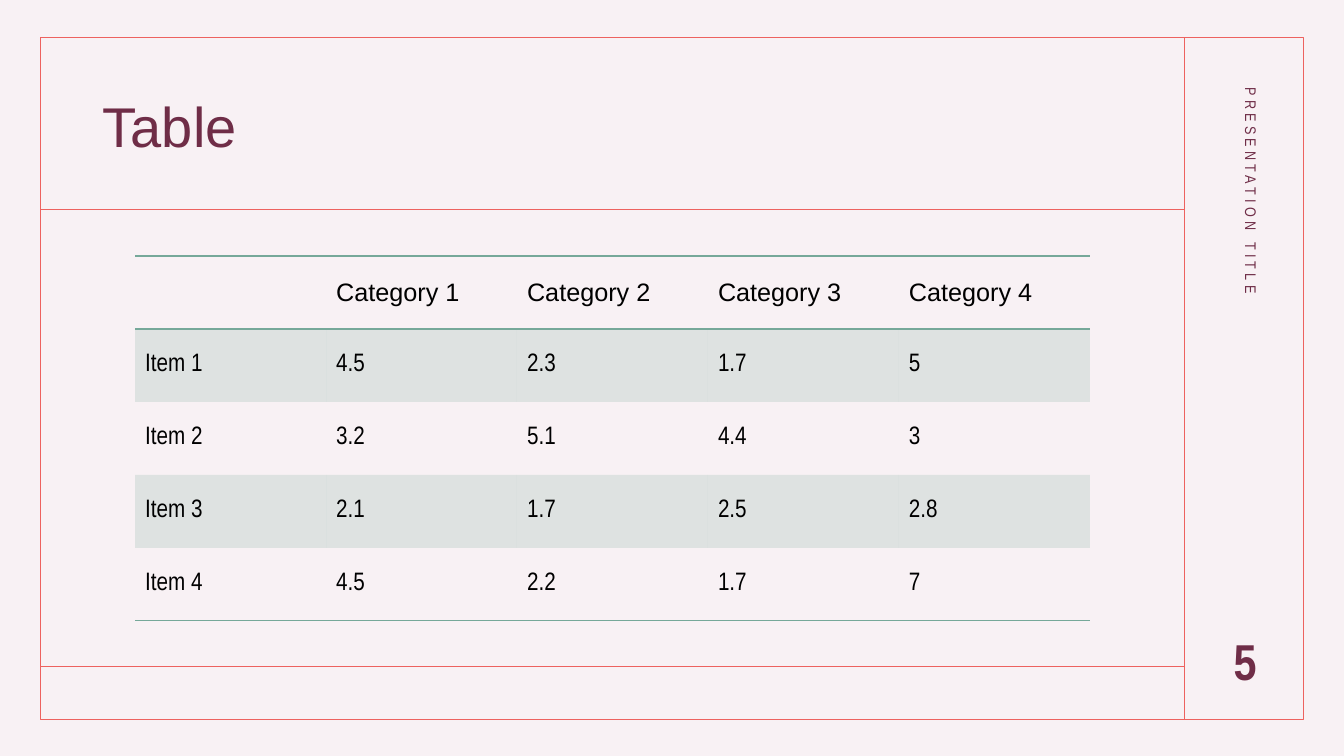
from pptx import Presentation
from pptx.dml.color import RGBColor
from pptx.enum.shapes import MSO_CONNECTOR as CONN, MSO_SHAPE as SHAPE
from pptx.enum.text import MSO_ANCHOR as ANCHOR, PP_ALIGN as ALIGN
from pptx.oxml.ns import qn
from pptx.util import Inches, Pt
from lxml.etree import SubElement

PAPER = RGBColor(0xF8, 0xF1, 0xF4)
CORAL = RGBColor(0xED, 0x62, 0x5F)
PLUM = RGBColor(0x6F, 0x2D, 0x47)
GREEN = RGBColor(0x76, 0xA8, 0x99)
BLACK = RGBColor(0, 0, 0)
NO_STYLE = "{2D5ABB26-0587-4C30-8999-92F81FD0307C}"


def write(tf, text, size, font="Arial Narrow", color=PLUM, bold=False,
          align=ALIGN.LEFT, anchor=ANCHOR.TOP, spacing=None, tracking=0):
    tf.word_wrap = True
    tf.vertical_anchor = anchor
    p = tf.paragraphs[0]
    p.alignment = align
    p.line_spacing = spacing
    r = p.add_run()
    r.text = text
    r.font.name, r.font.size, r.font.bold = font, Pt(size), bold
    r.font.color.rgb = color
    if tracking:
        r.font._element.set("spc", str(tracking * 100))


def add_border(cell, side):
    ln = SubElement(cell._tc.get_or_add_tcPr(), qn("a:" + side), w=str(Pt(1)))
    fill = SubElement(ln, qn("a:solidFill"))
    SubElement(fill, qn("a:srgbClr"), val=str(GREEN))


prs = Presentation()
prs.slide_width, prs.slide_height = Inches(13.33), Inches(7.5)
s = prs.slides.add_slide(prs.slide_layouts[5])
s.background.fill.solid()
s.background.fill.fore_color.rgb = PAPER

# Frame and its dividing lines
left, top, width, height = 0.4, 0.37, 12.53, 6.77
side_x = 11.75
frame = s.shapes.add_shape(SHAPE.RECTANGLE, Inches(left), Inches(top),
                           Inches(width), Inches(height))
frame.shadow.inherit = False
frame.fill.background()
frame.line.color.rgb = CORAL
frame.line.width = Pt(1)
for x1, y1, x2, y2 in [(side_x, top, side_x, top + height),
                       (left, 2.08, side_x, 2.08),
                       (left, 6.61, side_x, 6.61)]:
    rule = s.shapes.add_connector(CONN.STRAIGHT, Inches(x1), Inches(y1),
                                  Inches(x2), Inches(y2))
    rule.line.color.rgb = CORAL
    rule.line.width = Pt(1)
    SubElement(rule._element.spPr, qn("a:effectLst"))

# Title
title = s.shapes.title
title.left, title.top = Inches(0.92), Inches(0.6)
title.width, title.height = Inches(10.42), Inches(1.36)
write(title.text_frame, "Table", 40, font="Arial", anchor=ANCHOR.MIDDLE, spacing=0.9)

# Table: ruled header, shaded odd rows, rule under the last row
rows = [
    ["", "Category 1", "Category 2", "Category 3", "Category 4"],
    ["Item 1", "4.5", "2.3", "1.7", "5"],
    ["Item 2", "3.2", "5.1", "4.4", "3"],
    ["Item 3", "2.1", "1.7", "2.5", "2.8"],
    ["Item 4", "4.5", "2.2", "1.7", "7"],
]
table = s.shapes.add_table(len(rows), len(rows[0]), Inches(1.34), Inches(2.54),
                           Inches(9.47), Inches(3.62)).table
table.first_row = table.horz_banding = False
table._tbl.tblPr.find(qn("a:tableStyleId")).text = NO_STYLE
for i, row in enumerate(rows):
    for j, text in enumerate(row):
        cell = table.cell(i, j)
        cell.vertical_anchor = ANCHOR.MIDDLE
        if i == 0:
            add_border(cell, "lnT")
        if i in (0, len(rows) - 1):
            add_border(cell, "lnB")
        if i % 2:
            cell.fill.solid()
            cell.fill.fore_color.rgb = GREEN
            color = cell._tc.tcPr.find(".//" + qn("a:srgbClr"))
            SubElement(color, qn("a:alpha"), val="20000")
        else:
            cell.fill.background()
        if text:
            write(cell.text_frame, text, 18, color=BLACK, anchor=ANCHOR.MIDDLE,
                  font="Arial Narrow" if i else "Arial")

# Side column: rotated running title and page number
running = s.shapes.add_textbox(Inches(10.1), Inches(2.82), Inches(4.5), Inches(0.4))
running.rotation = 90
write(running.text_frame, "PRESENTATION TITLE", 11, tracking=3)
number = s.shapes.add_textbox(Inches(11.83), Inches(6.2), Inches(1.04), Inches(0.83))
write(number.text_frame, "5", 36, bold=True, align=ALIGN.CENTER)

prs.save("out.pptx")
